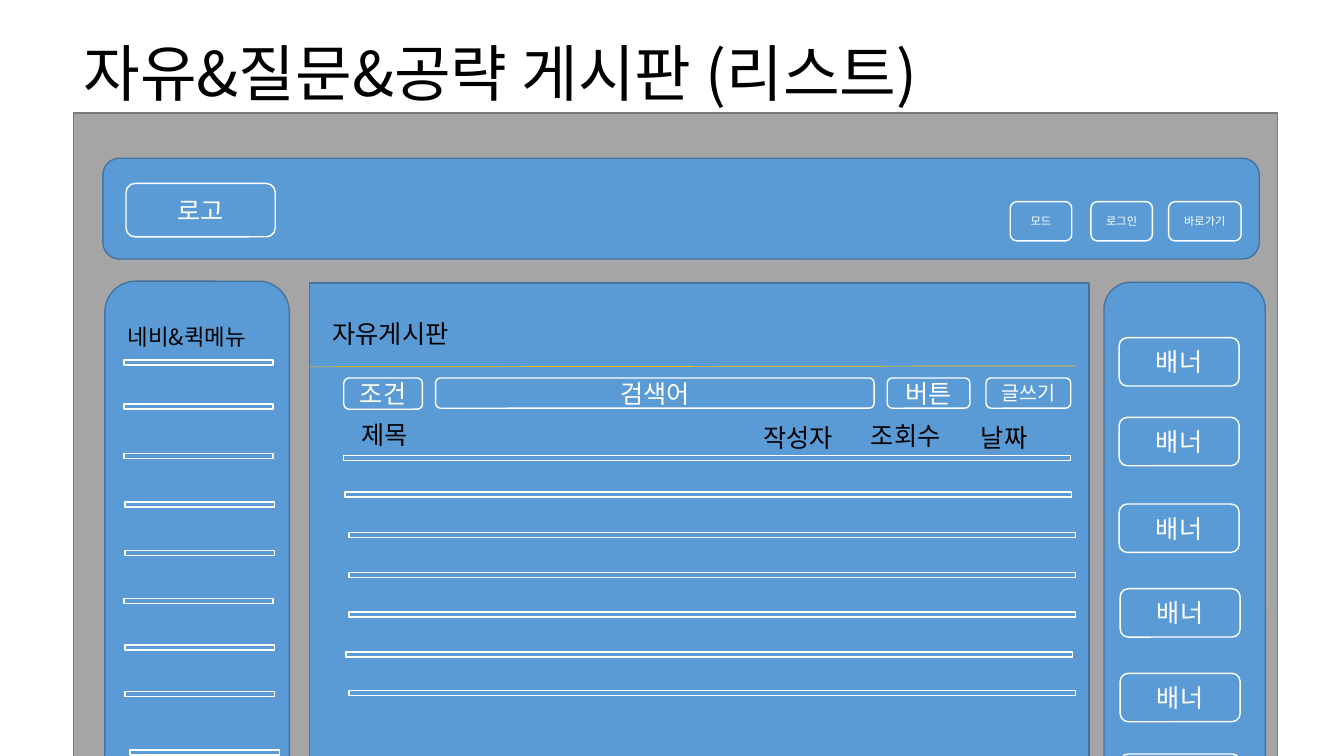
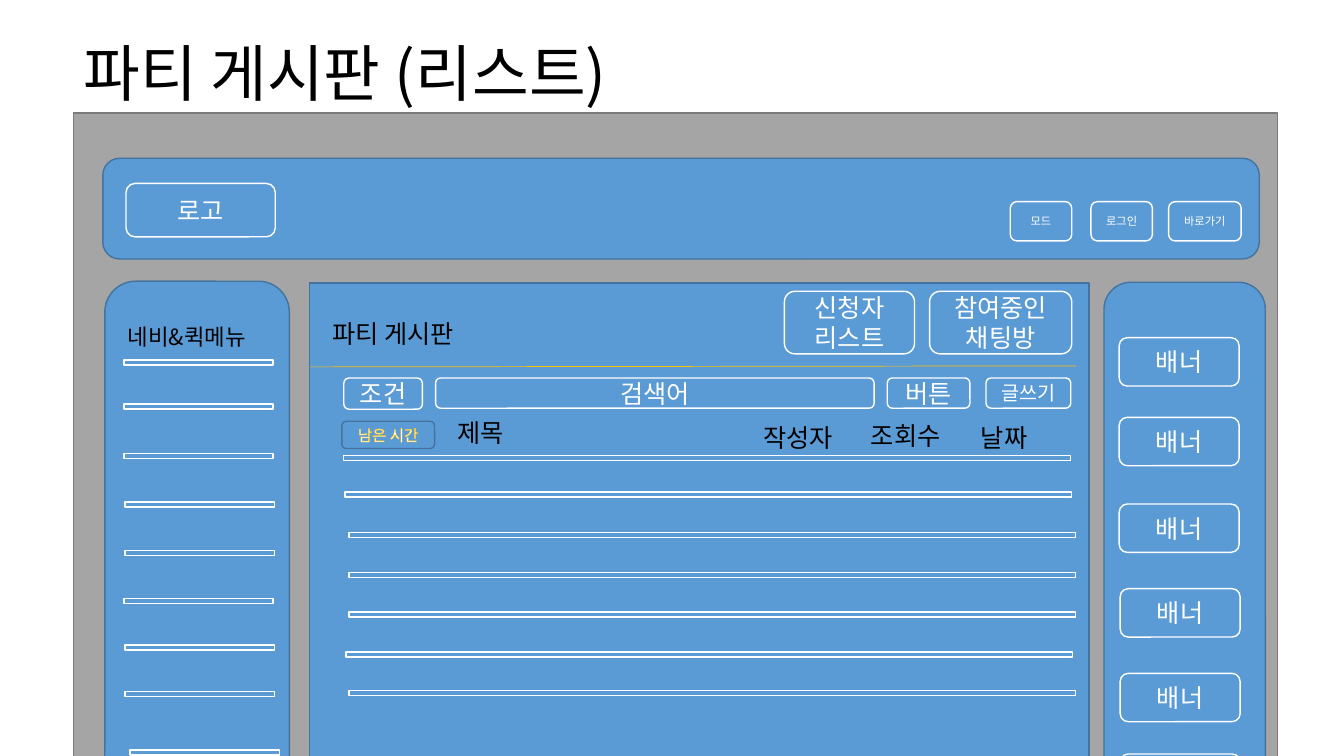
from lxml import etree
from pptx import Presentation
from pptx.dml.color import RGBColor
from pptx.enum import shapes, text
from pptx.oxml.ns import qn
from pptx.util import Inches, Pt

FONT = "Noto Sans CJK KR"
COLORS = {
    "page": "A5A5A5", "page_edge": "7A7A7A", "panel": "5B9BD5",
    "panel_edge": "43739E", "white": "FFFFFF", "black": "000000",
    "gold": "FFC000",
}
RECT = shapes.MSO_SHAPE.RECTANGLE
ROUND = shapes.MSO_SHAPE.ROUNDED_RECTANGLE


def add_box(s, kind, at, label="", size=18, fill="panel", edge="white"):
    sp = s.shapes.add_shape(kind, *map(Inches, at))
    sp.shadow.inherit = False
    sp.fill.solid()
    sp.fill.fore_color.rgb = RGBColor.from_string(COLORS[fill])
    sp.line.color.rgb = RGBColor.from_string(COLORS[edge])
    sp.line.width = Pt(1)
    if label:
        write(sp, label, size, "white", text.MSO_ANCHOR.MIDDLE, text.PP_ALIGN.CENTER)
    return sp


def write(sp, label, size, color="black", anchor=text.MSO_ANCHOR.TOP, align=None):
    """Set one line of text, with the same font for Latin and Korean letters."""
    tf = sp.text_frame
    tf.word_wrap = True
    tf.vertical_anchor = anchor
    tf.text = label
    p = tf.paragraphs[0]
    p.alignment = align
    f = p.runs[0].font
    f.size = Pt(size)
    f.color.rgb = RGBColor.from_string(COLORS[color])
    f.name = FONT
    latin = f._element.find(qn("a:latin"))
    latin.addnext(latin.makeelement(qn("a:ea"), {"typeface": FONT}))


# Frame: page, header, left menu, board, banner column
FRAME = [
    (RECT, (0.73, 1.12, 11.94, 9.7), "page", "page_edge"),
    (ROUND, (1.02, 1.57, 11.47, 1), "panel", "panel_edge"),
    (ROUND, (1.04, 2.79, 1.83, 6.36), "panel", "panel_edge"),
    (RECT, (3.07, 2.81, 7.73, 6.24), "panel", "panel_edge"),
    (ROUND, (10.95, 2.8, 1.6, 6.28), "panel", "panel_edge"),
]
BUTTONS = [
    ("로고", (1.25, 1.82, 1.48, 0.53), 18),
    ("모드", (10.02, 2, 0.61, 0.39), 8),
    ("로그인", (10.82, 2, 0.61, 0.39), 8),
    ("바로가기", (11.59, 2, 0.72, 0.39), 8),
    ("조건", (3.41, 3.75, 0.78, 0.31), 18),
    ("검색어", (4.32, 3.75, 4.35, 0.3), 18),
    ("버튼", (8.8, 3.75, 0.82, 0.3), 18),
    ("글쓰기", (9.78, 3.75, 0.84, 0.3), 14),
]
BANNERS = [(11.1, 3.35), (11.1, 4.14), (11.1, 5), (11.11, 5.84), (11.11, 6.68), (11.11, 7.48)]
MENU_BARS = [(1.23, 3.57), (1.23, 4.01), (1.23, 4.5), (1.24, 4.98), (1.24, 5.46),
             (1.23, 5.94), (1.24, 6.4), (1.24, 6.86), (1.29, 7.44)]
BOARD_BARS = [(3.41, 4.52), (3.42, 4.88), (3.46, 5.28), (3.46, 5.68),
              (3.46, 6.07), (3.43, 6.47), (3.46, 6.85)]
COLUMNS = [("작성자", 7.47, 4.14), ("조회수", 8.54, 4.12), ("날짜", 9.63, 4.14)]

# Slide title, board name, place of the subject column, extra buttons
BOARDS = [
    ("자유&질문&공략 게시판 (리스트)", "자유게시판", (3.49, 4.11), []),
    ("파티 게시판 (리스트)", "파티 게시판", (4.44, 4.09), [
        ("신청자 리스트", (7.78, 2.89, 1.29, 0.62), 18),
        ("참여중인 채팅방", (9.22, 2.89, 1.41, 0.62), 18),
    ]),
]

prs = Presentation()
prs.slide_width, prs.slide_height = Inches(13.33), Inches(7.5)

for title, board, subject_at, extra_buttons in BOARDS:
    s = prs.slides.add_slide(prs.slide_layouts[6])
    tb = s.shapes.add_textbox(*map(Inches, (0.73, 0.03, 11.5, 1.45)))
    write(tb, title, 44, anchor=text.MSO_ANCHOR.MIDDLE)
    tb.text_frame.paragraphs[0].line_spacing = 0.9

    for kind, at, fill, edge in FRAME:
        add_box(s, kind, at, fill=fill, edge=edge)

    rule = s.shapes.add_connector(
        shapes.MSO_CONNECTOR.STRAIGHT, *map(Inches, (3.07, 3.64, 10.67, 3.63)))
    rule.line.color.rgb = RGBColor.from_string(COLORS["gold"])
    rule.line.width = Pt(0.5)
    etree.SubElement(rule._element.spPr, qn("a:effectLst"))

    for bars, width in ((MENU_BARS, 1.48), (BOARD_BARS, 7.21)):
        for x, y in bars:
            add_box(s, RECT, (x, y, width, 0.05))

    for label, at, size in BUTTONS + extra_buttons:
        add_box(s, ROUND, at, label, size)
    for x, y in BANNERS:
        add_box(s, ROUND, (x, y, 1.19, 0.48), "배너")

    captions = [("네비&퀵메뉴", (1.17, 3.16, 1.56, 0.37), 16),
                (board, (3.2, 3.11, 3.8, 0.4), 18)]
    for label, x, y in [("제목", *subject_at)] + COLUMNS:
        captions.append((label, (x, y, 1.03, 0.4), 18))
    for label, at, size in captions:
        write(s.shapes.add_textbox(*map(Inches, at)), label, size)

# Only the party board shows the time left, in gold-outlined letters
badge = add_box(s, ROUND, (3.39, 4.18, 0.92, 0.27), "남은 시간", 11, edge="panel_edge")
rPr = badge.text_frame.paragraphs[0].runs[0].font._element
ln = rPr.makeelement(qn("a:ln"), {"w": str(Pt(0.75))})
rPr.insert(0, ln)
ln_fill = etree.SubElement(ln, qn("a:solidFill"))
etree.SubElement(ln_fill, qn("a:srgbClr"), val=COLORS["gold"])

prs.save("out.pptx")
